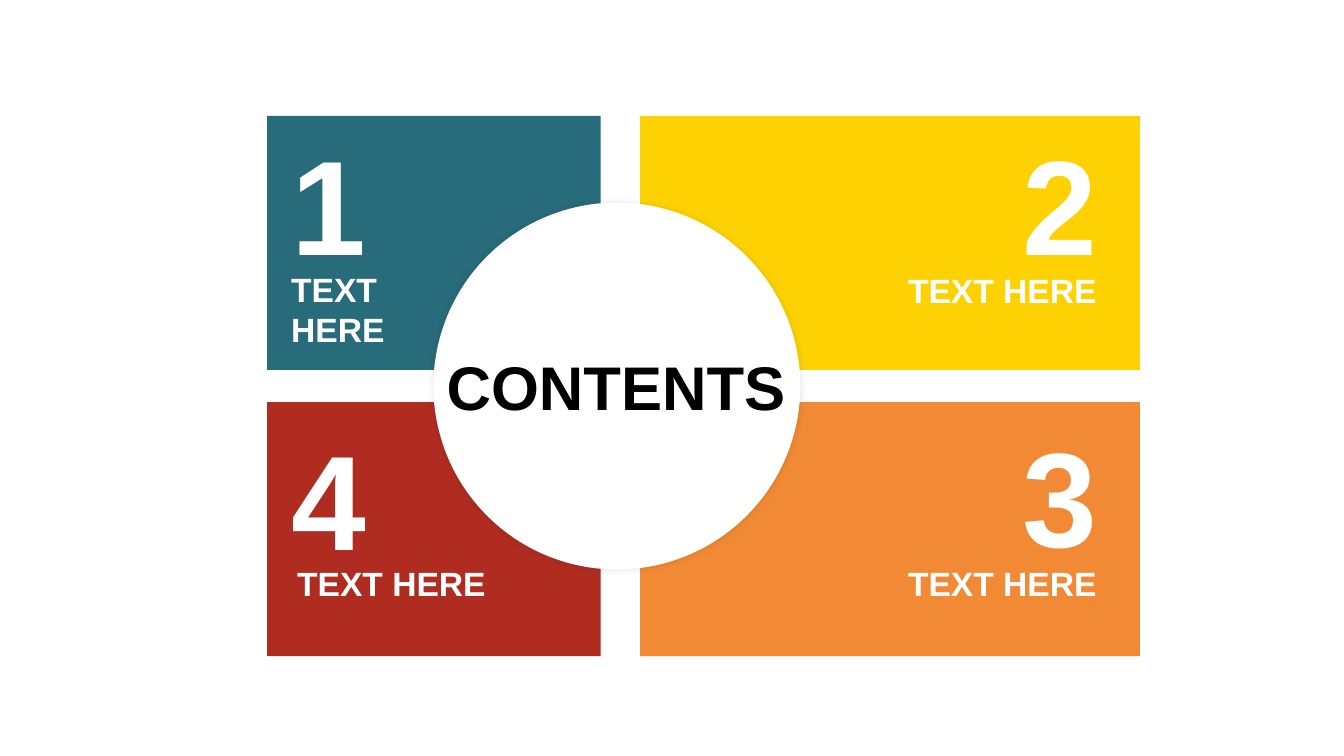
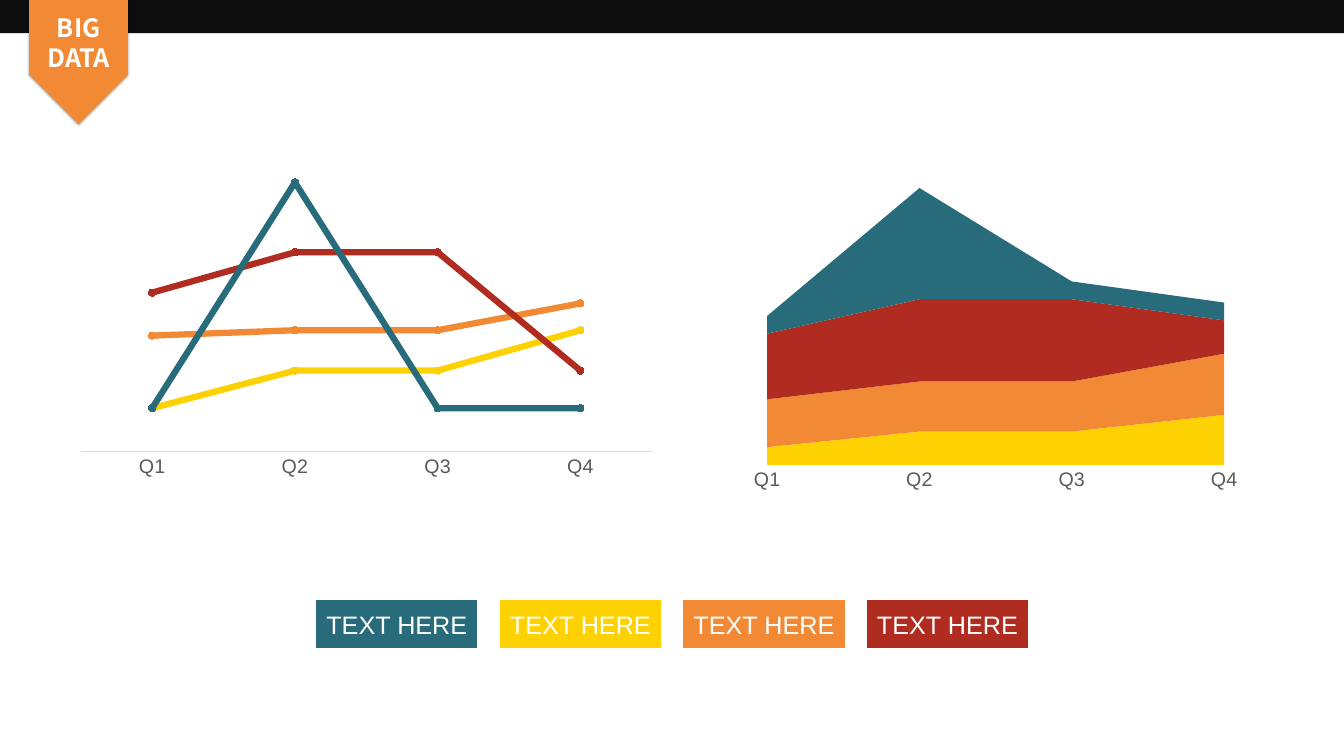
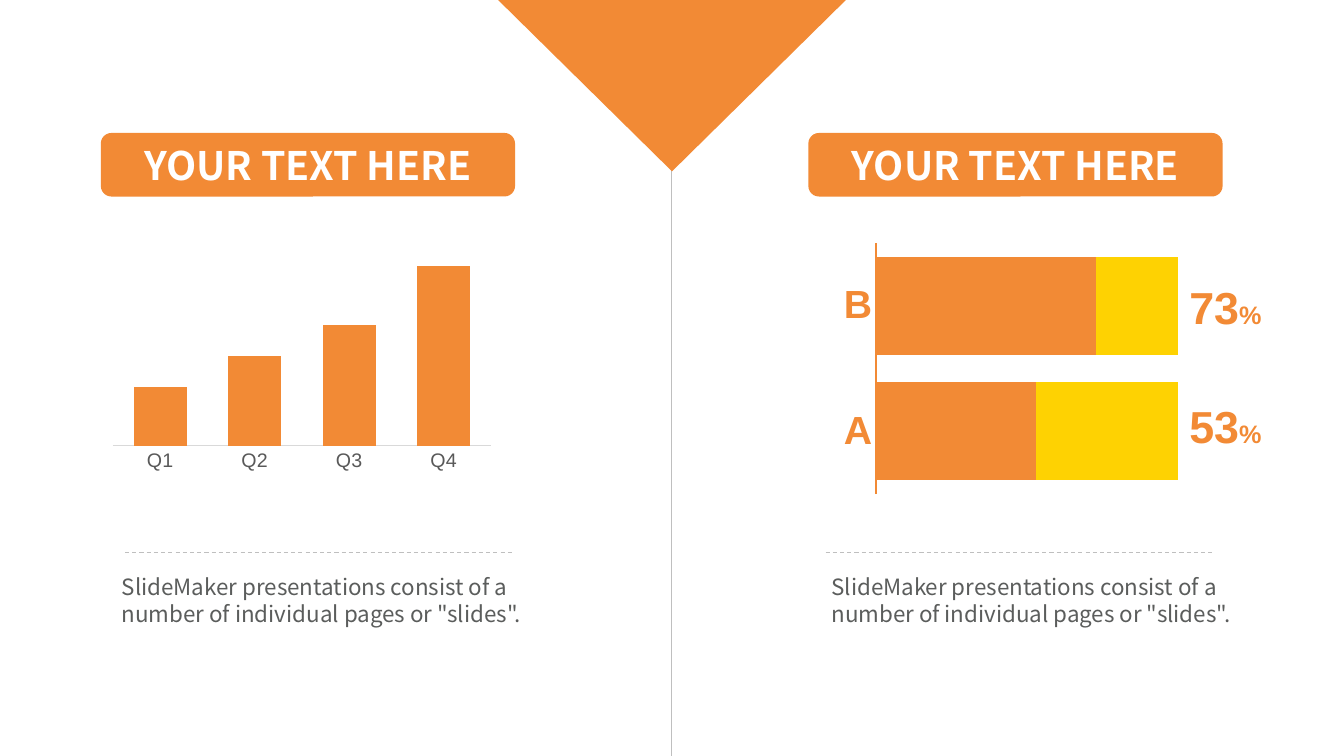
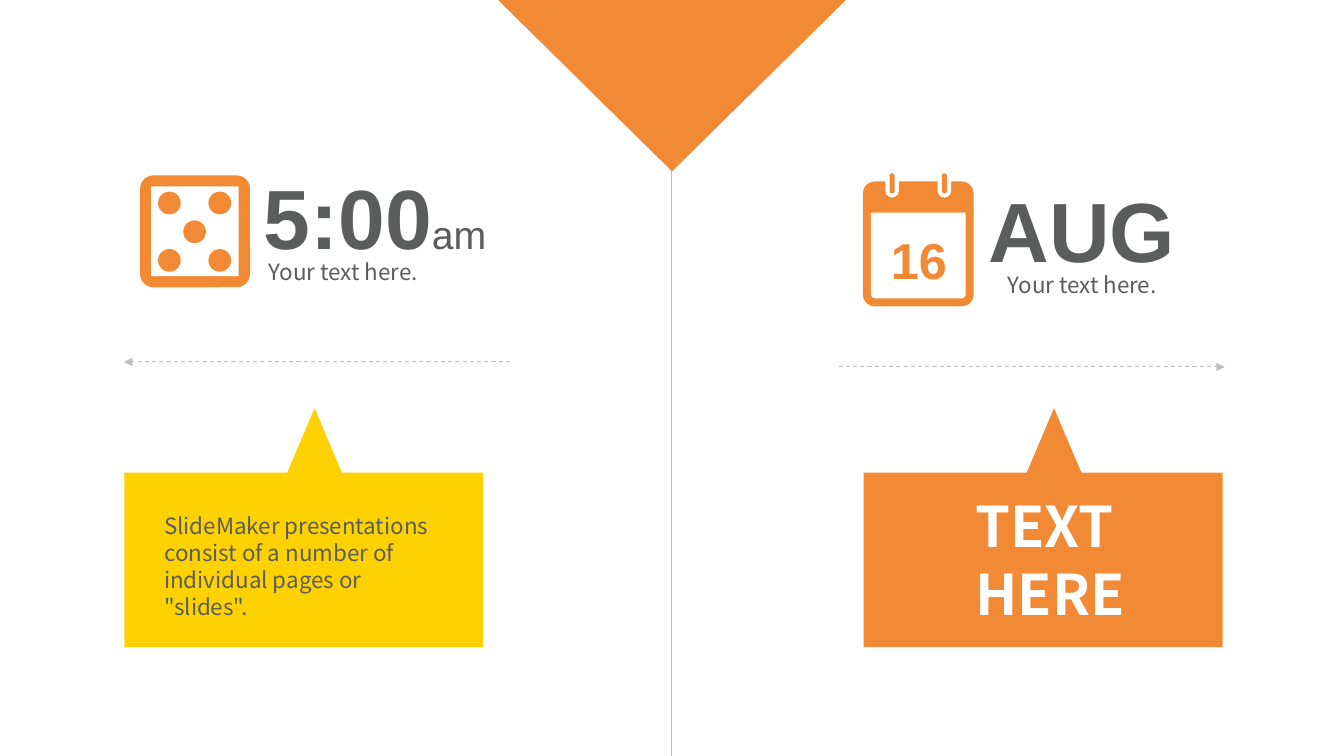
import copy

import lxml.etree
import pptx
import pptx.chart.data
import pptx.dml.color
import pptx.enum.chart
import pptx.enum.dml
import pptx.enum.shapes
import pptx.enum.text
import pptx.oxml
import pptx.oxml.ns
import pptx.util

Pt = pptx.util.Pt
qn = pptx.oxml.ns.qn
SHAPE = pptx.enum.shapes.MSO_SHAPE
ALIGN = pptx.enum.text.PP_ALIGN
ANCHOR = pptx.enum.text.MSO_ANCHOR
CHART = pptx.enum.chart.XL_CHART_TYPE

TEAL, YELLOW, ORANGE, RED = "286B7B", "FED202", "F28A35", "B02C20"
WHITE, BLACK, BAND = "FFFFFF", "000000", "0D0D0D"
GREY, AXIS_TEXT, AXIS_LINE, RULE = "5B5D5C", "595959", "D9D9D9", "BFBFBF"
SANS, NOTO = "Arial", "Noto Sans CJK SC"
WIDTH, HEIGHT = 960, 540

SENTENCE = 'SlideMaker presentations consist of a number of individual pages or "slides".'

PANELS = [
    (190.8, 82.8, 238.3, TEAL),
    (457.2, 82.8, 357.1, YELLOW),
    (457.2, 287.3, 357.1, ORANGE),
    (190.8, 287.3, 238.3, RED),
]
PANEL_HEIGHT = 181.4
CONTENT_ITEMS = [
    ("1", (200.9, 82.8), "TEXT\nHERE", (200.9, 188.6, 83.5, 65.5)),
    ("2", (723.6, 82.8), "TEXT HERE", (641.5, 189.4, 150.5, 36)),
    ("3", (723.6, 291.6), "TEXT HERE", (641.5, 398.2, 150.5, 36)),
    ("4", (200.9, 293.8), "TEXT HERE", (205.2, 398.2, 150.5, 36)),
]

QUARTERS = ["Q1", "Q2", "Q3", "Q4"]
QUARTER_SERIES = [
    ("Series 1", [16, 30, 30, 45], YELLOW),
    ("Series 2", [43, 45, 45, 55], ORANGE),
    ("Series 3", [59, 74, 74, 30], RED),
    ("Series 4", [16, 100, 16, 16], TEAL),
]
LEGEND_LABEL = "TEXT HERE"
LEGEND_COLORS = [TEAL, YELLOW, ORANGE, RED]

GROWTH_SERIES = [("Series 1", [33, 50, 67, 100], ORANGE)]
SHARE_SERIES = [("Series 1", [100, 100], YELLOW), ("Series 2", [0.53, 0.73], ORANGE)]
SHARE_LABELS = [("73", 196.6), ("53", 281.5)]
COLUMNS = [(72, 79.9, 344.2, 89.3), (577.4, 586.8, 321.8, 589.7)]

CALLOUTS = [(88.8, YELLOW), (617, ORANGE)]
DIE_DOTS = [(121, 145), (157, 145), (139, 165.6), (121, 186), (157, 186)]


def rgb(color):
    return pptx.dml.color.RGBColor.from_string(color)


def points(box):
    return [Pt(length) for length in box]


def set_font(font, size, color, bold=False, name=SANS):
    font.size = Pt(size)
    font.bold = bold
    font.name = name
    font.color.rgb = rgb(color)


def set_text(shape, text, size, color, bold=False, name=SANS, align=ALIGN.LEFT,
             anchor=ANCHOR.TOP, wrap=False, suffix=None):
    frame = shape.text_frame
    frame.text = text
    frame.word_wrap = wrap
    frame.auto_size = pptx.enum.text.MSO_AUTO_SIZE.NONE
    frame.vertical_anchor = anchor
    for paragraph in frame.paragraphs:
        paragraph.alignment = align
        for run in paragraph.runs:
            set_font(run.font, size, color, bold, name)
    if suffix:
        run = frame.paragraphs[0].add_run()
        run.text, suffix_size, suffix_bold = suffix
        set_font(run.font, suffix_size, color, suffix_bold, name)


def add_text(slide, box, text, size, color, **style):
    set_text(slide.shapes.add_textbox(*points(box)), text, size, color, **style)


def add_title(slide, box, text, size, color, **style):
    title = slide.shapes.title
    title.left, title.top, title.width, title.height = points(box)
    set_text(title, text, size, color, bold=True, **style)
    title.element.getparent().append(title.element)


def add_block(slide, kind, box, color, rotation=0, rounding=None):
    shape = slide.shapes.add_shape(kind, *points(box))
    shape.shadow.inherit = False
    shape.fill.solid()
    shape.fill.fore_color.rgb = rgb(color)
    shape.line.fill.background()
    shape.rotation = rotation
    if rounding is not None:
        shape.adjustments[0] = rounding
    return shape


def add_glow(shape, blur, opacity):
    effects = shape.element.spPr.find(qn("a:effectLst"))
    shadow = lxml.etree.SubElement(effects, qn("a:outerShdw"), blurRad=str(Pt(blur)),
                                   dist="0", dir="0", algn="ctr", rotWithShape="0")
    color = lxml.etree.SubElement(shadow, qn("a:srgbClr"), val=BLACK)
    lxml.etree.SubElement(color, qn("a:alpha"), val=str(opacity * 1000))


def add_rule(slide, start, end, dashed=True, arrow=False):
    connector = slide.shapes.add_connector(
        pptx.enum.shapes.MSO_CONNECTOR.STRAIGHT, *points(start + end))
    connector.line.color.rgb = rgb(RULE)
    connector.line.width = Pt(0.75)
    if dashed:
        connector.line.dash_style = pptx.enum.dml.MSO_LINE.DASH
    if arrow:
        outline = connector.element.spPr.find(qn("a:ln"))
        lxml.etree.SubElement(outline, qn("a:tailEnd"), type="triangle")
    lxml.etree.SubElement(connector.element.spPr, qn("a:effectLst"))


def add_split_backdrop(slide):
    add_rule(slide, (WIDTH / 2, 0), (WIDTH / 2, HEIGHT), dashed=False)
    add_block(slide, SHAPE.ISOSCELES_TRIANGLE, (355.8, 0, 248.4, 122.4), ORANGE, rotation=180)


def set_plot_area(chart, fractions):
    plot_area = chart.element.chart.plotArea
    for layout in plot_area.findall(qn("c:layout")):
        plot_area.remove(layout)
    layout = lxml.etree.Element(qn("c:layout"))
    manual = lxml.etree.SubElement(layout, qn("c:manualLayout"))
    settings = [("layoutTarget", "inner"), ("xMode", "edge"), ("yMode", "edge")]
    settings += zip("xywh", fractions)
    for tag, value in settings:
        lxml.etree.SubElement(manual, qn("c:" + tag), val=str(value))
    plot_area.insert(0, layout)


def add_chart(slide, kind, box, categories, series_list, maximum, plot_area,
              axis_size=14, axis_color=AXIS_TEXT, axis_line=AXIS_LINE, bold=False,
              gap=None, overlap=None):
    data = pptx.chart.data.CategoryChartData()
    data.categories = categories
    for name, values, color in series_list:
        data.add_series(name, values)
    chart = slide.shapes.add_chart(kind, *points(box), data).chart
    chart.has_title = False
    chart.has_legend = False
    set_font(chart.font, 10, BLACK)
    set_plot_area(chart, plot_area)

    category_axis, value_axis = chart.category_axis, chart.value_axis
    for axis in (category_axis, value_axis):
        axis.has_major_gridlines = False
        axis.major_tick_mark = pptx.enum.chart.XL_TICK_MARK.NONE
        axis.minor_tick_mark = pptx.enum.chart.XL_TICK_MARK.NONE
    category_axis.format.line.color.rgb = rgb(axis_line)
    category_axis.format.line.width = Pt(0.75)
    set_font(category_axis.tick_labels.font, axis_size, axis_color, bold)
    value_axis.minimum_scale = 0
    value_axis.maximum_scale = maximum
    value_axis.tick_label_position = pptx.enum.chart.XL_TICK_LABEL_POSITION.NONE
    value_axis.format.line.fill.background()
    value_axis.visible = False

    plot = chart.plots[0]
    plot.vary_by_categories = False
    if gap is not None:
        plot.gap_width = gap
        plot.overlap = overlap
    for series, (name, values, color) in zip(plot.series, series_list):
        if kind == CHART.LINE_MARKERS:
            series.smooth = False
            series.format.line.color.rgb = rgb(color)
            series.format.line.width = Pt(4.5)
            series.marker.style = pptx.enum.chart.XL_MARKER_STYLE.CIRCLE
            series.marker.size = 5
            for part in (series.marker.format.fill, series.marker.format.line.fill):
                part.solid()
                part.fore_color.rgb = rgb(color)
        else:
            series.format.fill.solid()
            series.format.fill.fore_color.rgb = rgb(color)
    return chart


def move_last_series_to_second_axis(chart):
    plot_area = chart.element.chart.plotArea
    first = plot_area.find(qn("c:barChart"))
    second = copy.deepcopy(first)
    first.remove(first.findall(qn("c:ser"))[-1])
    second.remove(second.find(qn("c:ser")))
    first.addnext(second)
    new_ids = {}
    for number, axis_id in enumerate(second.findall(qn("c:axId"))):
        new_ids[axis_id.get("val")] = str(5001 + number)
        axis_id.set("val", new_ids[axis_id.get("val")])
    last_axis = plot_area.find(qn("c:valAx"))
    for tag, deleted in (("c:valAx", "0"), ("c:catAx", "1")):
        axis = copy.deepcopy(plot_area.find(qn(tag)))
        for link in ("c:axId", "c:crossAx"):
            element = axis.find(qn(link))
            element.set("val", new_ids[element.get("val")])
        axis.find(qn("c:delete")).set("val", deleted)
        if tag == "c:valAx":
            axis.find(qn("c:axPos")).set("val", "t")
            axis.find(qn("c:crosses")).set("val", "max")
        last_axis.addnext(axis)
        last_axis = axis


def build_contents(slide):
    for left, top, width, color in PANELS:
        add_block(slide, SHAPE.RECTANGLE, (left, top, width, PANEL_HEIGHT), color)
    circle = add_block(slide, SHAPE.OVAL, (309.6, 144.7, 262.1, 262.1), WHITE)
    add_glow(circle, 5, 10)
    add_title(slide, (311.8, 245.5, 259.2, 60.5), "CONTENTS", 44, BLACK)
    for number, corner, label, label_box in CONTENT_ITEMS:
        add_text(slide, corner + (68.4, 123.8), number, 96, WHITE, bold=True)
        add_text(slide, label_box, label, 24, WHITE, bold=True)


def build_big_data(slide):
    add_chart(slide, CHART.LINE_MARKERS, (52.6, 106.6, 421.9, 239), QUARTERS,
              QUARTER_SERIES, 105, (0.012, 0.059, 0.967, 0.844))
    add_chart(slide, CHART.AREA_STACKED, (531.4, 118.1, 360, 237.6), QUARTERS,
              QUARTER_SERIES, 250, (0.046, 0.065, 0.907, 0.836))
    for index, color in enumerate(LEGEND_COLORS):
        box = (225.9 + index * 131.1, 428.6, 115.2, 34.4)
        shape = add_block(slide, SHAPE.FLOWCHART_PROCESS, box, color)
        set_text(shape, LEGEND_LABEL, 18, WHITE, align=ALIGN.CENTER, anchor=ANCHOR.MIDDLE)
    add_block(slide, SHAPE.RECTANGLE, (0, 0, WIDTH, 23.6), BAND)
    tag = add_block(slide, SHAPE.PENTAGON, (10.8, 8.2, 90.6, 70.6), ORANGE, rotation=90)
    add_glow(tag, 2, 40)
    add_title(slide, (23.8, 5, 64.8, 51.1), "BIG\nDATA", 18, WHITE, name=NOTO,
              align=ALIGN.CENTER)


def build_comparison(slide):
    add_split_backdrop(slide)
    add_chart(slide, CHART.COLUMN_CLUSTERED, (75.6, 164.9, 280.8, 175.7), QUARTERS,
              GROWTH_SERIES, 100, (0.018, 0.143, 0.962, 0.732), gap=79, overlap=-27)
    shares = add_chart(slide, CHART.BAR_CLUSTERED, (597.6, 169.9, 293, 187.2), ["A", "B"],
                       SHARE_SERIES, 1, (0.096, 0.02, 0.736, 0.958), axis_size=28,
                       axis_color=ORANGE, axis_line=ORANGE, bold=True, gap=28, overlap=0)
    move_last_series_to_second_axis(shares)
    for number, top in SHARE_LABELS:
        add_text(slide, (842.4, top, 68.4, 46.1), number, 32, ORANGE, bold=True,
                 suffix=("%", 18, True))
    for header_left, text_left, text_width, rule_left in COLUMNS:
        header = add_block(slide, SHAPE.ROUNDED_RECTANGLE, (header_left, 95, 295.9, 45.4), ORANGE)
        set_text(header, "YOUR TEXT HERE", 28, WHITE, bold=True, name=NOTO,
                 align=ALIGN.CENTER, anchor=ANCHOR.MIDDLE)
        add_rule(slide, (rule_left, 394.6), (rule_left + 277.9, 394.6))
        add_text(slide, (text_left, 406.1, text_width, 46.1), SENTENCE, 16, GREY,
                 name=NOTO, wrap=True)


def add_die(slide):
    add_block(slide, SHAPE.ROUNDED_RECTANGLE, (100.1, 125.3, 78.5, 79.9), ORANGE, rounding=0.12)
    add_block(slide, SHAPE.RECTANGLE, (108, 133.2, 62.6, 64.1), WHITE)
    dot = 16.2
    for center_x, center_y in DIE_DOTS:
        box = (center_x - dot / 2, center_y - dot / 2, dot, dot)
        add_block(slide, SHAPE.OVAL, box, ORANGE)


def add_calendar(slide):
    add_block(slide, SHAPE.ROUNDED_RECTANGLE, (616.3, 129.6, 79.2, 89.3), ORANGE, rounding=0.11)
    page = add_block(slide, SHAPE.ROUND_2_SAME_RECTANGLE, (622.1, 151.9, 67.7, 61.2), WHITE,
                     rotation=180, rounding=0.05)
    page.adjustments[1] = 0
    for center in (637.2, 674.6):
        add_block(slide, SHAPE.ROUNDED_RECTANGLE, (center - 4.8, 121, 9.6, 20.1), WHITE, rounding=0.5)
        add_block(slide, SHAPE.ROUNDED_RECTANGLE, (center - 1.8, 123.8, 3.6, 14.4), ORANGE, rounding=0.5)
    add_text(slide, (629.3, 159.8, 54.7, 51.1), "16", 36, ORANGE, bold=True)


def build_schedule(slide):
    add_split_backdrop(slide)
    add_die(slide)
    add_calendar(slide)
    add_text(slide, (181.4, 114.5, 175, 79.9), "5:00", 60, GREY, bold=True,
             suffix=("am", 28, False))
    add_text(slide, (699.1, 123.8, 149, 79.9), "AUG", 60, GREY, bold=True)
    for left, top in [(185, 180.7), (712.8, 190.1)]:
        add_text(slide, (left, top, 136.1, 26.6), "Your text here.", 16, GREY,
                 name=NOTO, wrap=True)
    add_rule(slide, (364.3, 258.5), (88.6, 258.5), arrow=True)
    add_rule(slide, (599, 262.1), (874.8, 262.1), arrow=True)
    for left, color in CALLOUTS:
        add_block(slide, SHAPE.RECTANGLE, (left, 337.7, 256.3, 124.6), color)
        add_block(slide, SHAPE.ISOSCELES_TRIANGLE, (left + 107.8, 291.6, 56.2, 66.2), color)
    add_text(slide, (110.2, 362.2, 216, 85), SENTENCE, 16, GREY, name=NOTO, wrap=True)
    add_text(slide, (689.8, 347.8, 130.3, 104.4), "TEXT HERE", 40, WHITE, bold=True,
             name=NOTO, wrap=True)


def main():
    presentation = pptx.Presentation()
    presentation.slide_width, presentation.slide_height = Pt(WIDTH), Pt(HEIGHT)
    title_only, blank = presentation.slide_layouts[5], presentation.slide_layouts[6]
    for layout, build in [(title_only, build_contents), (title_only, build_big_data),
                          (blank, build_comparison), (blank, build_schedule)]:
        build(presentation.slides.add_slide(layout))
    presentation.save("out.pptx")


if __name__ == "__main__":
    main()
